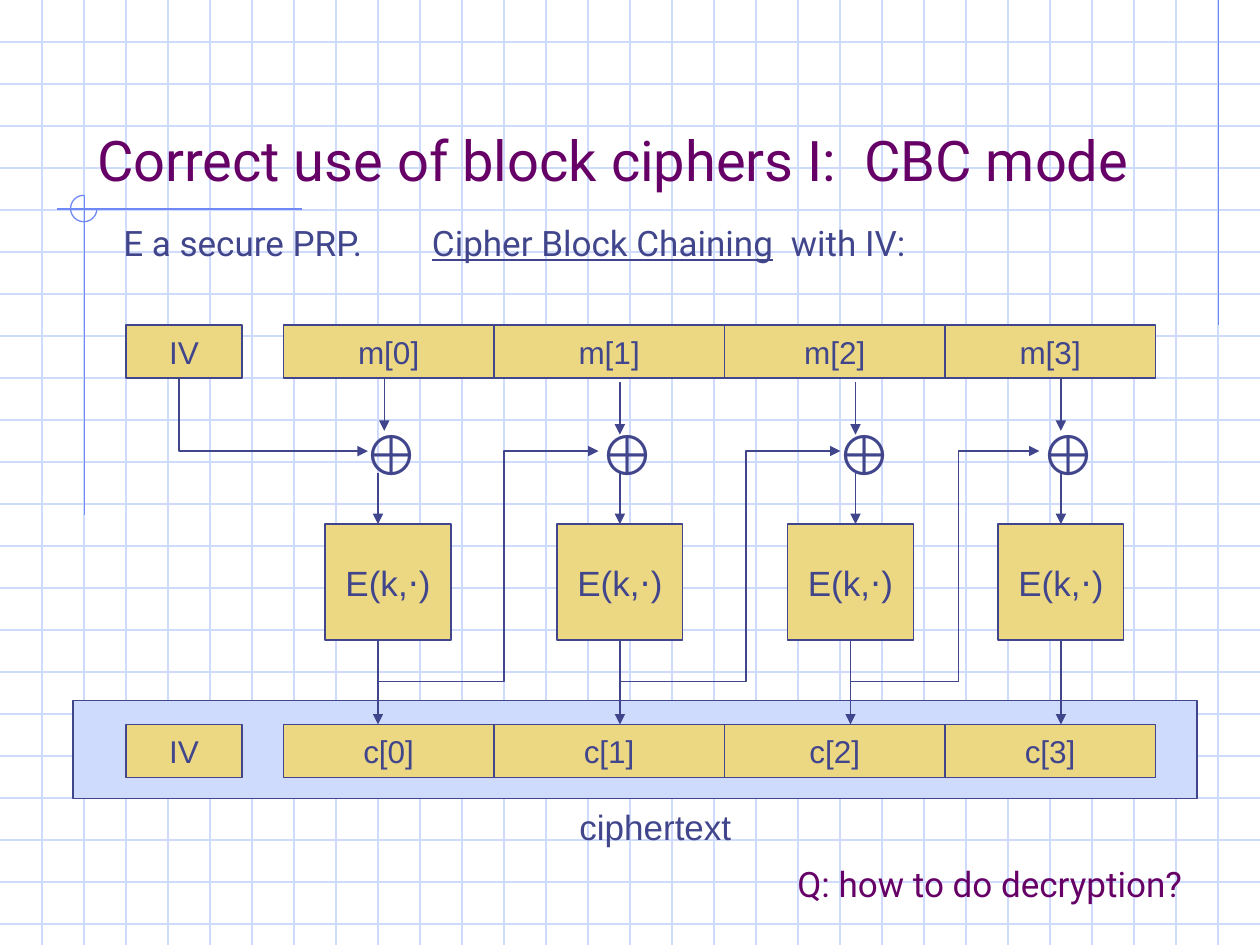
from lxml import etree
from pptx import Presentation
from pptx import util as u
from pptx.dml.color import RGBColor
from pptx.enum import shapes, text
from pptx.oxml.ns import qn

INK, PLUM, GOLD = "40458C", "660066", "ECD882"
GRID, ACCENT = "CFDBFD", "6F89F7"
STEP = 1 / 3


def rgb(color):
    return RGBColor.from_string(color)


class CipherSlide:
    """Holds the slide and the style shared by its elements."""

    def __init__(self, slide, body_font="Arial"):
        self.slide = slide
        self.shapes = slide.shapes
        self.body_font = body_font

    def style_font(self, font, size, color=INK, name=None):
        font.size, font.name = u.Pt(size), name or self.body_font
        font.color.rgb = rgb(color)

    def outline(self, line, color, width=0.75, arrow=False):
        line.color.rgb = rgb(color)
        line.width = u.Pt(width)
        if arrow:
            etree.SubElement(line._get_or_add_ln(), qn("a:tailEnd"), type="triangle")

    def title(self, wording, left, top, width, height):
        heading = self.shapes.title
        heading.left, heading.top = u.Inches(left), u.Inches(top)
        heading.width, heading.height = u.Inches(width), u.Inches(height)
        frame = heading.text_frame
        frame.text = wording
        frame.auto_size = text.MSO_AUTO_SIZE.NONE
        frame.vertical_anchor = text.MSO_ANCHOR.BOTTOM
        frame.paragraphs[0].alignment = text.PP_ALIGN.LEFT
        self.style_font(frame.paragraphs[0].font, 32, PLUM, "Roboto")
        self.shapes.element.append(heading.element)  # in front of the grid

    def box(self, left, top, width, height, label="", size=18, fill=GOLD):
        rect = self.shapes.add_shape(
            shapes.MSO_SHAPE.RECTANGLE, u.Inches(left), u.Inches(top),
            u.Inches(width), u.Inches(height))
        rect.shadow.inherit = False
        rect.fill.solid()
        rect.fill.fore_color.rgb = rgb(fill)
        self.outline(rect.line, INK)
        if label:
            frame = rect.text_frame
            frame.text, frame.word_wrap = label, False
            frame.paragraphs[0].alignment = text.PP_ALIGN.CENTER
            self.style_font(frame.paragraphs[0].font, size)
        return rect

    def label(self, runs, left, top, width, height, size=20, color=INK,
              font=None, tab=None):
        """Add one line of text; runs are (wording, underlined) pairs."""
        frame = self.shapes.add_textbox(
            u.Inches(left), u.Inches(top), u.Inches(width),
            u.Inches(height)).text_frame
        frame.word_wrap = False
        line = frame.paragraphs[0]
        if tab:
            stops = etree.SubElement(line._p.get_or_add_pPr(), qn("a:tabLst"))
            etree.SubElement(stops, qn("a:tab"), pos=str(u.Inches(tab)), algn="l")
        for wording, underlined in runs:
            run = line.add_run()
            run.text = wording
            if underlined:
                run.font.underline = True
        self.style_font(line.font, size, color, font)

    def line(self, x1, y1, x2, y2, color=INK, arrow=False):
        connector = self.shapes.add_connector(
            shapes.MSO_CONNECTOR.STRAIGHT, u.Inches(x1), u.Inches(y1),
            u.Inches(x2), u.Inches(y2))
        self.outline(connector.line, color, arrow=arrow)
        etree.SubElement(connector._element.spPr, qn("a:effectLst"))
        return connector

    def bent_arrow(self, points, width=0.75):
        start, *rest = [(u.Inches(x), u.Inches(y)) for x, y in points]
        builder = self.shapes.build_freeform(*start)
        builder.add_line_segments(rest, close=False)
        path = builder.convert_to_shape()
        path.shadow.inherit = False
        path.fill.background()
        self.outline(path.line, INK, width, arrow=True)

    def arc(self, left, top, size):
        """Draw three quarters of a circle, open at the top right."""
        ring = self.shapes.add_shape(
            shapes.MSO_SHAPE.ARC, u.Inches(left), u.Inches(top),
            u.Inches(size), u.Inches(size))
        ring.adjustments[0], ring.adjustments[1] = 0, 162
        ring.shadow.inherit = False
        ring.fill.background()
        self.outline(ring.line, ACCENT)

    def backdrop(self):
        for row in range(1, 23):
            self.line(0, row * STEP, 10, row * STEP, GRID)
        for column in range(1, 30):
            self.line(column * STEP, 0, column * STEP, 7.5, GRID)
        self.line(9.67, 0, 9.67, 2.58, ACCENT)
        self.line(2.4, 1.66, 0.45, 1.66, ACCENT)
        self.line(0.67, 1.55, 0.67, 4.09, ACCENT)
        self.arc(0.56, 1.55, 0.21)

    def block_row(self, top, letter):
        """Draw the IV and the four message or ciphertext blocks."""
        self.box(1, top, 0.92, 0.42, "IV")
        edges = [2.25, 3.92, 5.75, 7.5, 9.17]
        for i, (left, right) in enumerate(zip(edges, edges[1:])):
            self.box(left, top, right - left, 0.42, f"{letter}[{i}]")

    def stage(self, cipher_left, xor_left, message_x, message_y, xor_x, output_x):
        """Draw one XOR and encryption step with its three arrows."""
        cipher = self.box(cipher_left, 4.16, 1, 0.92, "E(k,⋅)", 20)
        self.label([("⊕", False)], xor_left, 3.28, 0.55, 0.64, 32)
        self.line(message_x, message_y, message_x, message_y + 0.42, arrow=True)
        into = self.line(xor_x, 3.75, xor_x, 4.16, arrow=True)
        out = self.line(output_x, 5.08, output_x, 5.75, arrow=True)
        middle = cipher_left + 0.5
        if abs(xor_x - middle) < 0.01:
            into.end_connect(cipher, 0)
        if abs(output_x - middle) < 0.01:
            out.begin_connect(cipher, 2)


def main():
    prs = Presentation()
    prs.slide_width, prs.slide_height = u.Inches(10), u.Inches(7.5)
    cbc = CipherSlide(prs.slides.add_slide(prs.slide_layouts[5]))
    cbc.backdrop()
    cbc.box(0.58, 5.56, 8.92, 0.78, fill=GRID)
    cbc.title("Correct use of block ciphers I:  CBC mode", 0.67, 0.33, 8.5, 1.25)
    cbc.label([("E a secure PRP.\t", False), ("Cipher Block Chaining", True),
               ("  with IV:", False)], 0.88, 1.71, 6.75, 0.44,
              font="Roboto", tab=2.45)

    cbc.block_row(2.58, "m")
    cbc.block_row(5.75, "c")
    stages = [
        (2.58, 2.79, 3.05, 3, 3, 3),
        (4.42, 4.66, 4.92, 3.03, 4.92, 4.92),
        (6.25, 6.54, 6.79, 3.03, 6.79, 6.75),
        (7.92, 8.16, 8.42, 3, 8.42, 8.42),
    ]
    for stage in stages:
        cbc.stage(*stage)

    cbc.bent_arrow([(1.42, 3), (1.42, 3.58), (2.92, 3.58)], 1)
    for start, turn, end in [(3, 4, 4.75), (4.92, 5.92, 6.67), (6.75, 7.61, 8.25)]:
        cbc.bent_arrow([(start, 5.41), (turn, 5.41), (turn, 3.58), (end, 3.58)])

    cbc.label([("ciphertext", False)], 4.5, 6.34, 1.5, 0.44)
    cbc.label([("Q: how to do decryption?", False)], 6.23, 6.8, 3.5, 0.44,
              color=PLUM, font="Roboto")
    prs.save("out.pptx")


if __name__ == "__main__":
    main()
